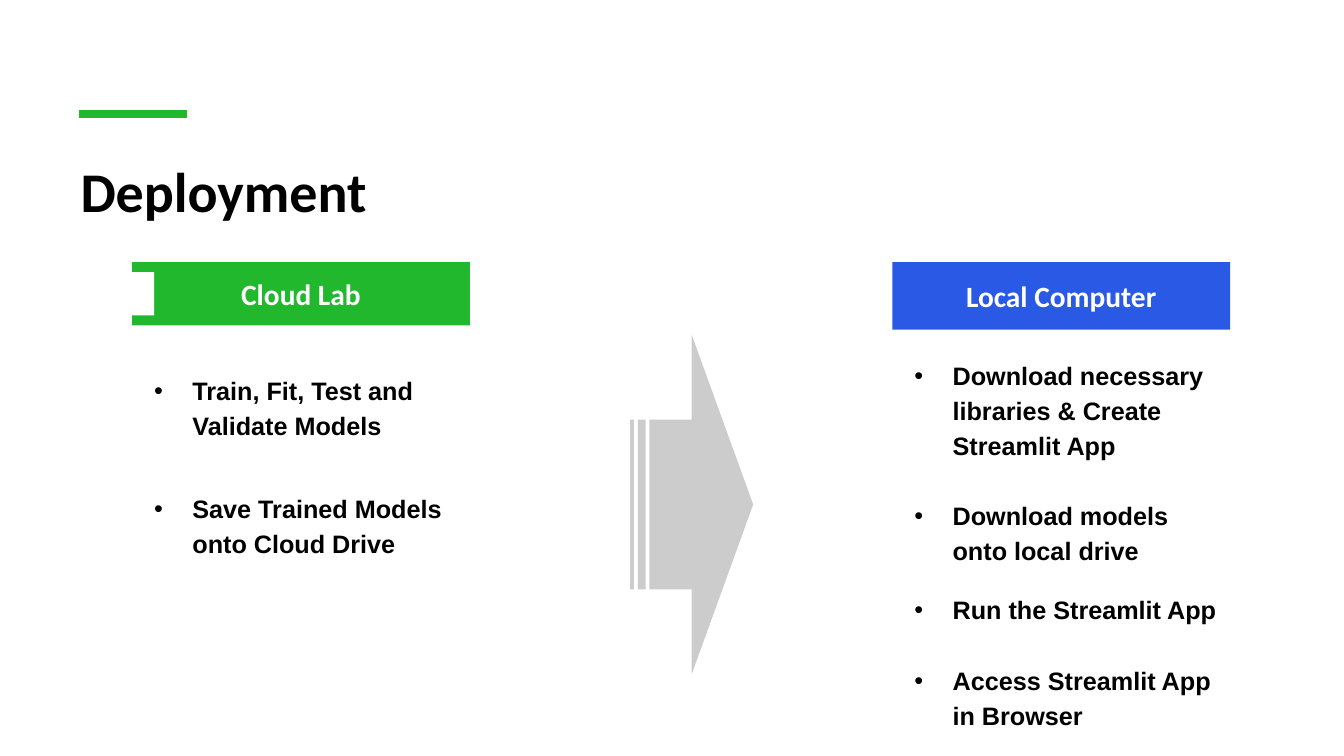
from lxml.etree import SubElement
from pptx import Presentation
from pptx.dml.color import RGBColor
from pptx.enum.shapes import MSO_CONNECTOR as Connector, MSO_SHAPE as Shape
from pptx.enum.text import MSO_ANCHOR as Anchor, PP_ALIGN as Align
from pptx.oxml.ns import qn
from pptx.util import Inches, Pt

GREEN, BLUE, GRAY, BLACK, WHITE = "21B82E", "2A59E6", "CCCCCC", "000000", "FFFFFF"
COLUMN_WIDTH = 3.35
HEADER_TOP = 2.6


def color(value):
    return RGBColor.from_string(value)


class DeploymentSlide:
    heading_font = "Calibri"
    body_font = "Arial"

    def __init__(self, presentation):
        self.slide = presentation.slides.add_slide(presentation.slide_layouts[6])

    def style(self, paragraph, name, size, value):
        paragraph.font.name = name
        paragraph.font.size = Pt(size)
        paragraph.font.bold = True
        paragraph.font.color.rgb = color(value)

    def margins(self, frame, vertical):
        frame.word_wrap = True
        frame.margin_left = frame.margin_right = Inches(0.1)
        frame.margin_top = frame.margin_bottom = Inches(vertical)

    def accent(self, left, top, length):
        line = self.slide.shapes.add_connector(
            Connector.STRAIGHT, Inches(left), Inches(top), Inches(left + length), Inches(top))
        line.line.color.rgb = color(GREEN)
        line.line.width = Pt(6)
        SubElement(line._element.spPr, qn("a:effectLst"))

    def text(self, words, box, vertical=0.1):
        frame = self.slide.shapes.add_textbox(*map(Inches, box)).text_frame
        self.margins(frame, vertical)
        paragraph = frame.paragraphs[0]
        paragraph.text = words
        return paragraph

    def title(self, words, box):
        self.style(self.text(words, box, 0.05), self.heading_font, 40, BLACK)

    def bullet(self, words, box):
        paragraph = self.text(words, box)
        paragraph.line_spacing = 1.15
        properties = paragraph._p.get_or_add_pPr()
        properties.set("marL", str(Inches(0.5)))
        properties.set("indent", str(Inches(-0.38)))
        bullet_color = SubElement(properties, qn("a:buClr"))
        SubElement(bullet_color, qn("a:srgbClr"), val=BLACK)
        SubElement(properties, qn("a:buFont"), typeface=self.body_font)
        SubElement(properties, qn("a:buChar"), char="•")
        self.style(paragraph, self.body_font, 18, BLACK)

    def block(self, kind, box, fill):
        shape = self.slide.shapes.add_shape(kind, *map(Inches, box))
        shape.shadow.inherit = False
        shape.fill.solid()
        shape.fill.fore_color.rgb = color(fill)
        shape.line.fill.background()
        return shape

    def header(self, words, box, fill):
        frame = self.block(Shape.RECTANGLE, box, fill).text_frame
        self.margins(frame, 0.1)
        frame.vertical_anchor = Anchor.MIDDLE
        paragraph = frame.paragraphs[0]
        paragraph.text = words
        paragraph.alignment = Align.CENTER
        self.style(paragraph, self.heading_font, 21, WHITE)

    def column(self, left, name, height, fill, steps):
        self.header(name, (left, HEADER_TOP, COLUMN_WIDTH, height), fill)
        for top, step_height, words in steps:
            self.bullet(words, (left, top, COLUMN_WIDTH, step_height))


def main():
    presentation = Presentation()
    presentation.slide_width = Inches(13.33)
    presentation.slide_height = Inches(7.5)
    deployment = DeploymentSlide(presentation)
    deployment.accent(0.78, 1.13, 1.07)
    deployment.title("Deployment", (0.7, 1.5, 11.91, 1.2))
    deployment.column(1.31, "Cloud Lab", 0.63, GREEN, [
        (3.58, 0.85, "Train, Fit, Test and Validate Models"),
        (4.75, 0.85, "Save Trained Models onto Cloud Drive"),
    ])
    deployment.column(8.85, "Local Computer", 0.67, BLUE, [
        (3.43, 1.2, "Download necessary libraries & Create Streamlit App"),
        (4.82, 0.85, "Download models onto local drive"),
        (5.75, 0.5, "Run the Streamlit App"),
        (6.46, 0.85, "Access Streamlit App in Browser"),
    ])
    deployment.block(Shape.STRIPED_RIGHT_ARROW, (6.25, 3.32, 1.22, 3.37), GRAY)
    deployment.block(Shape.RECTANGLE, (0.91, 2.7, 0.62, 0.43), WHITE)
    presentation.save("out.pptx")


if __name__ == "__main__":
    main()
